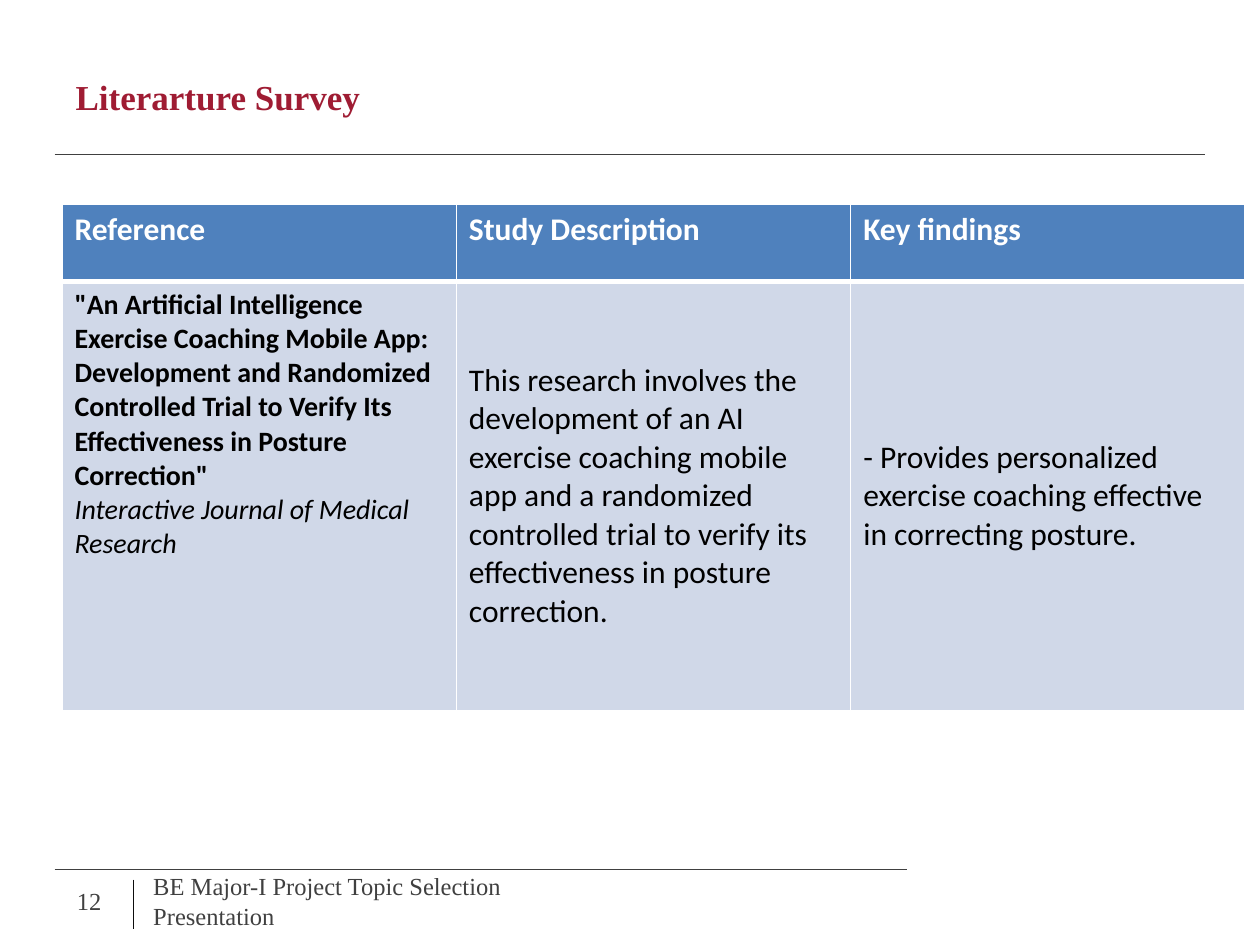
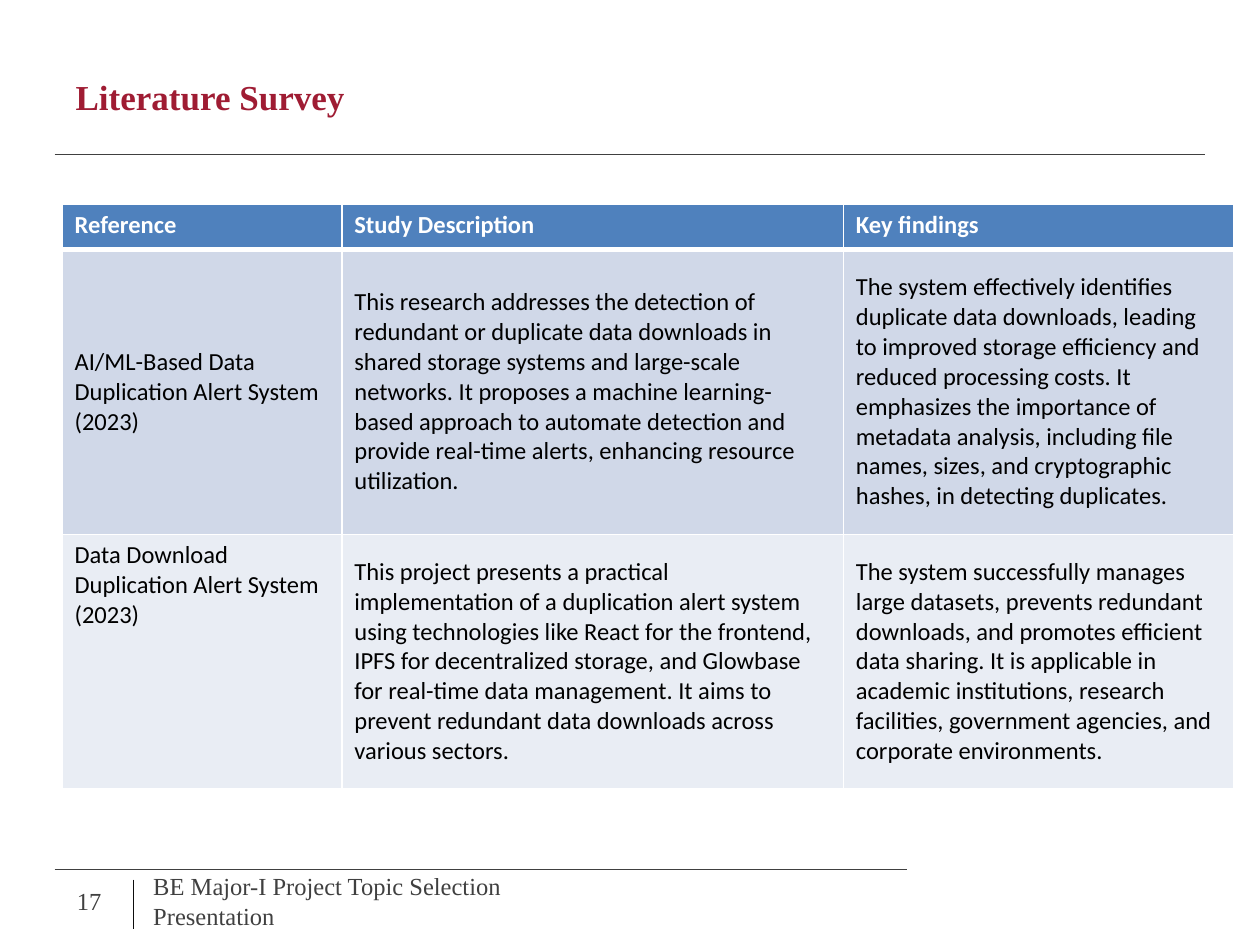
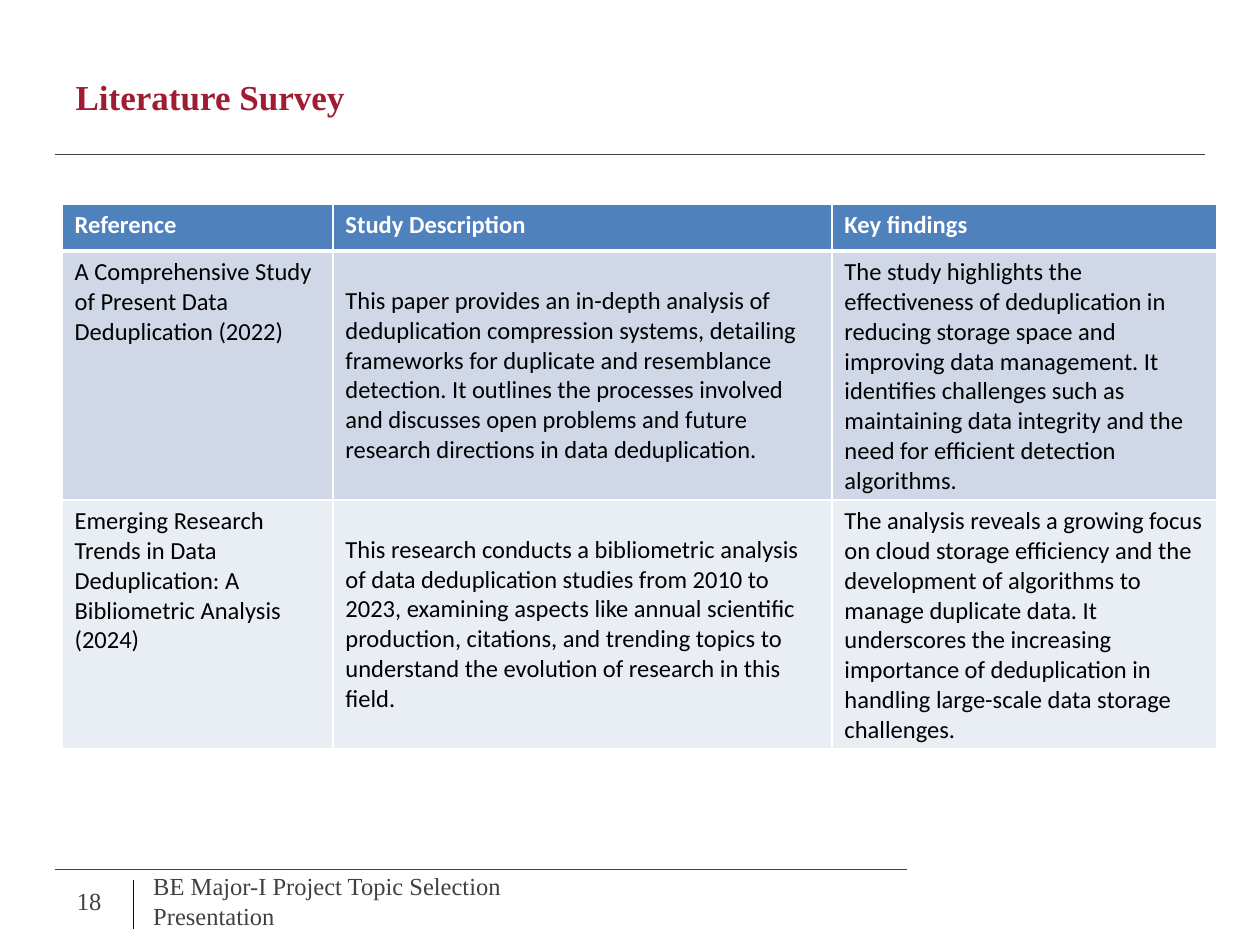
from lxml import etree
from pptx import Presentation
from pptx.dml.color import RGBColor
from pptx.enum.shapes import MSO_CONNECTOR
from pptx.enum.text import MSO_ANCHOR, PP_ALIGN
from pptx.oxml.ns import qn
from pptx.util import Cm, Pt

LINE = MSO_CONNECTOR.STRAIGHT
TOP, MID = MSO_ANCHOR.TOP, MSO_ANCHOR.MIDDLE
LEFT = PP_ALIGN.LEFT

RED, GREY, INK = "9F1C33", "404040", "0D0D0D"
WHITE, BLACK = "FFFFFF", "000000"
HEAD_FILL = "4F81BD"
BANDS = ["D0D8E8", "E9EDF4"]

SERIF, SANS = "Times New Roman", "Calibri"
TITLE = {"name": SERIF, "size": Pt(20), "bold": True}
FOOT = {"name": SERIF, "size": Pt(14)}
HEAD = {"name": SANS, "bold": True}
BODY = {"name": SANS, "bold": False}

FOOTER = "BE Major-I Project Topic Selection Presentation"
HEADS = ["Reference", "Study Description", "Key findings"]
RULES = [
    (1.1, 3.12, 24.3, 3.12, GREY),
    (1.1, 17.53, 18.29, 17.53, GREY),
    (2.69, 17.73, 2.69, 18.72, INK),
]


def tint(code):
    return RGBColor.from_string(code)


def edge(cell, side, width):
    """Give one side of a cell a white border."""
    props = cell._tc.get_or_add_tcPr()
    line = etree.SubElement(props, qn("a:ln" + side), w=str(Pt(width)))
    fill = etree.SubElement(line, qn("a:solidFill"))
    etree.SubElement(fill, qn("a:srgbClr"), val=WHITE)


class Deck:
    """Holds the shared style and the current slide."""

    def __init__(self):
        self.file = Presentation()
        self.file.slide_width, self.file.slide_height = Cm(25.4), Cm(19.05)
        self.slide = None

    def page(self, title, number):
        self.slide = self.file.slides.add_slide(self.file.slide_layouts[5])
        for rule in RULES:
            self.rule(*rule)
        self.title(title)
        self.label(FOOTER, 2.84, 8.05)
        self.label(str(number), 1.3, 1.32)

    def rule(self, x1, y1, x2, y2, color):
        line = self.slide.shapes.add_connector(
            LINE, Cm(x1), Cm(y1), Cm(x2), Cm(y2))
        line.line.color.rgb = tint(color)
        line.line.width = Pt(0.75)
        etree.SubElement(line._element.spPr, qn("a:effectLst"))

    def text(self, para, words, style, color):
        para.alignment = LEFT
        run = para.add_run()
        run.text = words
        for name, value in style.items():
            setattr(run.font, name, value)
        run.font.color.rgb = tint(color)

    def title(self, words):
        box = self.slide.shapes.title
        place = {"left": 1.27, "top": 0.76, "width": 22.86, "height": 2.36}
        for name, value in place.items():
            setattr(box, name, Cm(value))
        box.text_frame.vertical_anchor = MID
        self.text(box.text_frame.paragraphs[0], words, TITLE, RED)

    def label(self, words, left, width):
        box = self.slide.shapes.add_textbox(
            Cm(left), Cm(17.65), Cm(width), Cm(1.02))
        frame = box.text_frame
        frame.word_wrap = True
        frame.vertical_anchor = MID
        self.text(frame.paragraphs[0], words, FOOT, GREY)

    def cell(self, cell, parts, color, fill, anchor, top, base):
        """Fill a cell; parts is a list of (words, style), one per paragraph."""
        for side, width in zip("LRTB", (1, 1, top, base)):
            edge(cell, side, width)
        cell.fill.solid()
        cell.fill.fore_color.rgb = tint(fill)
        cell.vertical_anchor = anchor
        frame = cell.text_frame
        for i, (words, style) in enumerate(parts):
            para = frame.add_paragraph() if i else frame.paragraphs[0]
            self.text(para, words, style, color)

    def table(self, cols, highs, rows, size, mids=()):
        """Draw a survey table; mids lists rows centred in the first column."""
        grid = self.slide.shapes.add_table(
            len(highs), len(cols), Cm(1.25), Cm(4.12),
            Cm(sum(cols)), Cm(sum(highs))).table
        for col, width in zip(grid.columns, cols):
            col.width = Cm(width)
        for row, high in zip(grid.rows, highs):
            row.height = Cm(high)
        for c, words in enumerate(HEADS):
            self.cell(grid.cell(0, c), [(words, HEAD | {"size": Pt(size)})],
                      WHITE, HEAD_FILL, TOP, 1, 3)
        for r, row in enumerate(rows, 1):
            for c, item in enumerate(row):
                parts = item
                if isinstance(item, str):
                    parts = [(item, BODY | {"size": Pt(size)})]
                self.cell(grid.cell(r, c), parts, BLACK, BANDS[(r - 1) % 2],
                          MID if c or r in mids else TOP,
                          3 if r == 1 else 1, 1)


def main():
    deck = Deck()

    deck.page("Literarture Survey", 12)
    source = [
        ('"An Artificial Intelligence Exercise Coaching Mobile App: '
         "Development and Randomized Controlled Trial to Verify Its "
         'Effectiveness in Posture Correction"', HEAD | {"size": Pt(16)}),
        ("Interactive Journal of Medical Research",
         BODY | {"size": Pt(16), "italic": True}),
    ]
    deck.table([7.95] * 3, [1.55, 8.66], [[
        source,
        "This research involves the development of an AI exercise coaching "
        "mobile app and a randomized controlled trial to verify its "
        "effectiveness in posture correction.",
        "- Provides personalized exercise coaching effective in correcting "
        "posture.",
    ]], 18)

    deck.page("Literature Survey", 17)
    deck.table([5.64, 10.11, 7.87], [0.91, 5.74, 5.13], [[
        "AI/ML-Based Data Duplication Alert System (2023)",
        "This research addresses the detection of redundant or duplicate "
        "data downloads in shared storage systems and large-scale networks. "
        "It proposes a machine learning-based approach to automate detection "
        "and provide real-time alerts, enhancing resource utilization.",
        "The system effectively identifies duplicate data downloads, leading "
        "to improved storage efficiency and reduced processing costs. It "
        "emphasizes the importance of metadata analysis, including file "
        "names, sizes, and cryptographic hashes, in detecting duplicates.",
    ], [
        "Data Download Duplication Alert System (2023)",
        "This project presents a practical implementation of a duplication "
        "alert system using technologies like React for the frontend, IPFS "
        "for decentralized storage, and Glowbase for real-time data "
        "management. It aims to prevent redundant data downloads across "
        "various sectors.",
        "The system successfully manages large datasets, prevents redundant "
        "downloads, and promotes efficient data sharing. It is applicable in "
        "academic institutions, research facilities, government agencies, "
        "and corporate environments.",
    ]], 14, mids=[1])

    deck.page("Literature Survey", 18)
    deck.table([5.46, 10.06, 7.75], [0.94, 5.02, 5.02], [[
        "A Comprehensive Study of Present Data Deduplication (2022)",
        "This paper provides an in-depth analysis of deduplication "
        "compression systems, detailing frameworks for duplicate and "
        "resemblance detection. It outlines the processes involved and "
        "discusses open problems and future research directions in data "
        "deduplication.",
        "The study highlights the effectiveness of deduplication in reducing "
        "storage space and improving data management. It identifies "
        "challenges such as maintaining data integrity and the need for "
        "efficient detection algorithms.",
    ], [
        "Emerging Research Trends in Data Deduplication: A Bibliometric "
        "Analysis (2024)",
        "This research conducts a bibliometric analysis of data "
        "deduplication studies from 2010 to 2023, examining aspects like "
        "annual scientific production, citations, and trending topics to "
        "understand the evolution of research in this field.",
        "The analysis reveals a growing focus on cloud storage efficiency "
        "and the development of algorithms to manage duplicate data. It "
        "underscores the increasing importance of deduplication in handling "
        "large-scale data storage challenges.",
    ]], 14)

    deck.file.save("out.pptx")


if __name__ == "__main__":
    main()
